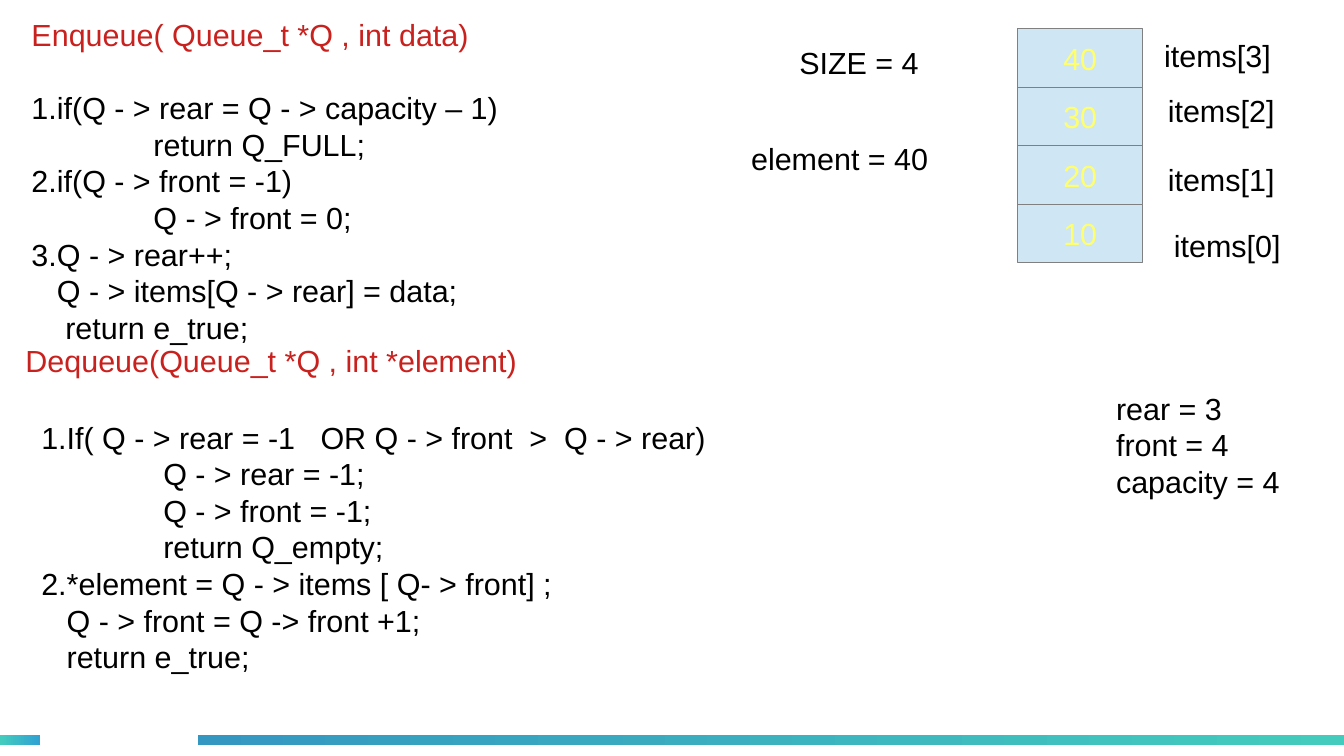
from dataclasses import dataclass

from lxml.etree import SubElement
from pptx import Presentation
from pptx.dml.color import RGBColor
from pptx.enum.shapes import MSO_SHAPE as Shape
from pptx.enum.text import MSO_ANCHOR as Anchor, PP_ALIGN as Align
from pptx.oxml.ns import qn
from pptx.util import Inches, Pt

WIDTH, HEIGHT = Inches(11.02), Inches(6.2)
FONT, SIZE = "Arial", Pt(18)
CODE_INDENT = Inches(1)
COLORS = {
    "heading": "C9211E", "code": "000000", "value": "FFFF6D",
    "cell": "CFE7F5", "border": "808080",
    "teal": "43CCBD", "sky": "30A2D2", "blue": "3497C1",
}
LINE_HEIGHT = 6.13  # percent of the slide's height


@dataclass(frozen=True)
class Area:
    """Left, top, width and height in percent of the slide."""
    left: float
    top: float
    width: float
    height: float = LINE_HEIGHT

    def emu(self) -> tuple[int, int, int, int]:
        return (int(WIDTH * self.left / 100), int(HEIGHT * self.top / 100),
                int(WIDTH * self.width / 100), int(HEIGHT * self.height / 100))


@dataclass(frozen=True)
class Listing:
    area: Area
    lines: tuple[str, ...]
    heading: str = ""


@dataclass(frozen=True)
class Bar:
    area: Area
    start: str
    end: str


ENQUEUE = Listing(Area(1.45, 1.35, 38, 42.26), (
    "1.if(Q - > rear = Q - > capacity – 1)",
    "\treturn Q_FULL;",
    "2.if(Q - > front = -1)",
    "\tQ - > front = 0;",
    "3.Q - > rear++;",
    "   Q - > items[Q - > rear] = data;",
    "    return e_true;",
), "Enqueue( Queue_t *Q , int data)")
DEQUEUE_HEADING = Listing(Area(1, 44.42, 49), (), "Dequeue(Queue_t *Q , int *element)")
DEQUEUE = Listing(Area(2.18, 54.6, 53, 33.23), (
    "1.If( Q - > rear = -1   OR Q - > front  >  Q - > rear)",
    "\tQ - > rear = -1;",
    "\tQ - > front = -1;",
    "\treturn Q_empty;",
    "2.*element = Q - > items [ Q- > front] ;",
    "   Q - > front = Q -> front +1;",
    "   return e_true;",
))
STATE = Listing(Area(82.15, 50.75, 15, 15.16), ("rear = 3", "front = 4", "capacity = 4"))
QUEUE_SIZE = Listing(Area(58.58, 5, 12), ("SIZE = 4",))
ELEMENT = Listing(Area(54.99, 17.74, 16), ("element = 40",))

QUEUE_TOP = Area(75.72, 3.8, 9.3, 7.74)
QUEUE_VALUES = ("40", "30", "20", "10")
INDEX_LABELS = tuple(
    Listing(Area(left, top, 11), (f"items[{index}]",))
    for index, left, top in ((3, 85.72, 4.1), (2, 86, 11.4),
                             (1, 86, 20.48), (0, 86.45, 29.19)))
FOOTER = (Bar(Area(0, 97.2, 2.95, 1.29), "teal", "sky"),
          Bar(Area(14.75, 97.2, 85.25, 1.29), "blue", "teal"))


def rgb(name: str) -> RGBColor:
    return RGBColor.from_string(COLORS[name])


def add_text(paragraph, text: str, color: str) -> None:
    run = paragraph.add_run()
    run.text = text
    run.font.name, run.font.size = FONT, SIZE
    run.font.color.rgb = rgb(color)


def add_tab_stop(paragraph) -> None:
    stops = SubElement(paragraph._p.get_or_add_pPr(), qn("a:tabLst"))
    SubElement(stops, qn("a:tab"), pos=str(CODE_INDENT), algn="l")


def draw_listing(slide, listing: Listing) -> None:
    frame = slide.shapes.add_textbox(*listing.area.emu()).text_frame
    frame.word_wrap = False
    lines = [(line, "code") for line in listing.lines]
    if listing.heading:
        lines.insert(0, (listing.heading, "heading"))
    for row, (line, color) in enumerate(lines):
        paragraph = frame.paragraphs[0] if row == 0 else frame.add_paragraph()
        if listing.heading and row == 1:
            paragraph.space_before = Pt(21.5)
        if line.startswith("\t"):
            add_tab_stop(paragraph)
        add_text(paragraph, line, color)


def draw_cell(slide, area: Area, value: str) -> None:
    cell = slide.shapes.add_shape(Shape.RECTANGLE, *area.emu())
    cell.shadow.inherit = False
    cell.fill.solid()
    cell.fill.fore_color.rgb = rgb("cell")
    cell.line.color.rgb = rgb("border")
    cell.line.width = Pt(0)
    frame = cell.text_frame
    frame.word_wrap = False
    frame.vertical_anchor = Anchor.MIDDLE
    frame.paragraphs[0].alignment = Align.CENTER
    add_text(frame.paragraphs[0], value, "value")


def draw_bar(slide, bar: Bar) -> None:
    stripe = slide.shapes.add_shape(Shape.RECTANGLE, *bar.area.emu())
    stripe.shadow.inherit = False
    stripe.line.fill.background()
    stripe.fill.gradient()
    stripe.fill.gradient_angle = 0
    for stop, color in zip(stripe.fill.gradient_stops, (bar.start, bar.end)):
        stop.color.rgb = rgb(color)


def main() -> None:
    deck = Presentation()
    deck.slide_width, deck.slide_height = WIDTH, HEIGHT
    slide = deck.slides.add_slide(deck.slide_layouts[6])
    for bar in FOOTER:
        draw_bar(slide, bar)
    for row, value in enumerate(QUEUE_VALUES):
        top = QUEUE_TOP.top + row * QUEUE_TOP.height
        draw_cell(slide, Area(QUEUE_TOP.left, top, QUEUE_TOP.width, QUEUE_TOP.height), value)
    for listing in (ENQUEUE, STATE, QUEUE_SIZE, *INDEX_LABELS,
                    DEQUEUE_HEADING, DEQUEUE, ELEMENT):
        draw_listing(slide, listing)
    deck.save("out.pptx")


if __name__ == "__main__":
    main()
